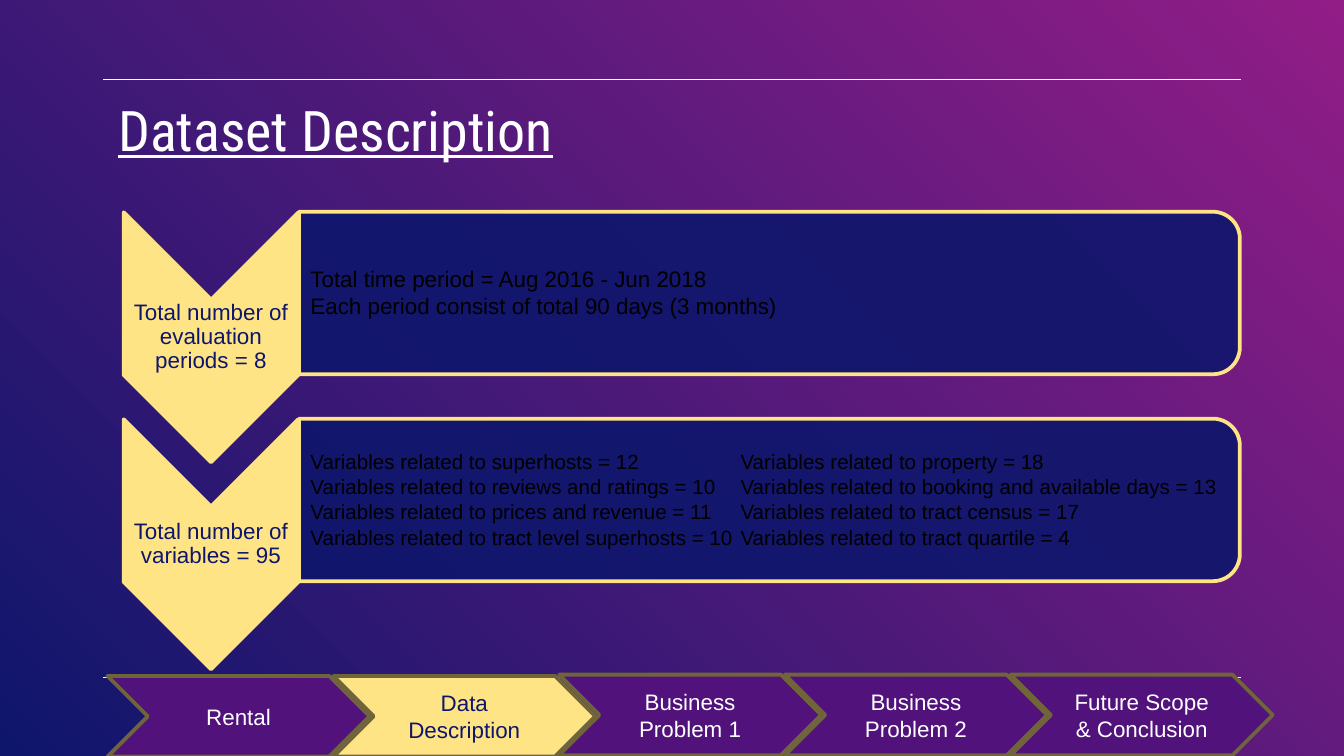
from lxml import etree
from pptx import Presentation
from pptx.dml.color import RGBColor
from pptx.enum import shapes, text
from pptx.oxml.ns import qn
from pptx.util import Inches, Pt

NAVY, YELLOW, PURPLE = "0E166C", "FFE485", "51127C"
WHITE, BLACK, OLIVE, MAGENTA = "FFFFFF", "000000", "70643A", "921D87"

LABEL = {"alignment": text.PP_ALIGN.CENTER, "line_spacing": 0.9}
DETAIL = {"alignment": text.PP_ALIGN.LEFT, "line_spacing": 0.9}
CENTERED = {"alignment": text.PP_ALIGN.CENTER}
TIGHT = [0.01] * 4
COLUMN_TAB = 3.2

SECTIONS = [
    ("Total number of evaluation periods = 8", 12, [
        "Total time period = Aug 2016 - Jun 2018",
        "Each period consist of total 90 days (3 months)",
    ]),
    ("Total number of variables = 95", 11, [
        "Variables related to superhosts = 12\tVariables related to property = 18",
        "Variables related to reviews and ratings = 10\t"
        "Variables related to booking and available days = 13",
        "Variables related to prices and revenue = 11\tVariables related to tract census = 17",
        "Variables related to tract level superhosts = 10\t"
        "Variables related to tract quartile = 4",
    ]),
]
STEPS = ["Rental", "Data Description", "Business Problem 1", "Business Problem 2",
         "Future Scope & Conclusion"]
CURRENT_STEP = 1


def color(value):
    return RGBColor.from_string(value)


def apply(target, values):
    for name, value in values.items():
        setattr(target, name, value)


def set_frame(frame, insets, anchor):
    left, top, right, bottom = map(Inches, insets)
    apply(frame, {"word_wrap": True, "auto_size": text.MSO_AUTO_SIZE.NONE,
                  "vertical_anchor": anchor, "margin_left": left, "margin_top": top,
                  "margin_right": right, "margin_bottom": bottom})


def write(frame, lines, size, font_color, layout, font="Arial", underline=None):
    for index, line in enumerate(lines):
        paragraph = frame.paragraphs[0] if index == 0 else frame.add_paragraph()
        apply(paragraph, layout)
        if "\t" in line:
            tabs = etree.SubElement(paragraph._p.get_or_add_pPr(), qn("a:tabLst"))
            etree.SubElement(tabs, qn("a:tab"), pos=str(Inches(COLUMN_TAB)), algn="l")
        run = paragraph.add_run()
        run.text = line
        apply(run.font, {"name": font, "size": Pt(size), "underline": underline})
        run.font.color.rgb = color(font_color)


def add_rule(slide, top):
    rule = slide.shapes.add_connector(shapes.MSO_CONNECTOR.STRAIGHT, Inches(0.77),
                                      Inches(top), Inches(9.23), Inches(top))
    rule.line.color.rgb = color(WHITE)
    rule.line.width = Pt(0.75)
    etree.SubElement(rule._element.spPr, qn("a:effectLst"))


def add_block(slide, kind, box, fill, line, rotation=0, opacity=None):
    shape = slide.shapes.add_shape(kind, *map(Inches, box))
    shape.shadow.inherit = False
    shape.rotation = rotation
    shape.fill.solid()
    shape.fill.fore_color.rgb = color(fill)
    shape.line.color.rgb = color(line)
    shape.line.width = Pt(2)
    if opacity:
        fill_color = shape._element.spPr.find(qn("a:solidFill"))[0]
        etree.SubElement(fill_color, qn("a:alpha"), val=str(opacity * 1000))
    return shape


def add_text(slide, box, lines, size, font_color, layout, insets):
    frame = slide.shapes.add_textbox(*map(Inches, box)).text_frame
    set_frame(frame, insets, text.MSO_ANCHOR.MIDDLE)
    write(frame, lines, size, font_color, layout)


def add_title(slide, title):
    shape = slide.shapes.title
    apply(shape, {"left": Inches(0.78), "top": Inches(0.61),
                  "width": Inches(8.44), "height": Inches(0.66)})
    set_frame(shape.text_frame, [0.1] * 4, text.MSO_ANCHOR.TOP)
    write(shape.text_frame, [title], 30, WHITE, {"alignment": text.PP_ALIGN.LEFT},
          "Roboto Condensed", True)


def add_section(slide, top, label, size, details):
    # Both shapes are turned a quarter, so their boxes are given unrotated
    add_block(slide, shapes.MSO_SHAPE.CHEVRON, (0.64, top + 0.28, 1.86, 1.3),
              YELLOW, YELLOW, 90)
    add_text(slide, (0.92, top + 0.65, 1.3, 0.56), [label], 12, NAVY, LABEL, TIGHT)
    add_block(slide, shapes.MSO_SHAPE.ROUND_2_SAME_RECTANGLE, (5.12, top - 2.9, 1.21, 7),
              NAVY, YELLOW, 90, opacity=90)
    add_text(slide, (2.22, top + 0.06, 6.94, 1.09), details, size, BLACK,
             {**DETAIL, "space_after": Pt(0.15 * size)}, [0.09, 0.01, 0.01, 0.01])


def add_step(slide, index):
    current = index == CURRENT_STEP
    top = 5.03 if index <= CURRENT_STEP else 5.02
    shape = add_block(slide, shapes.MSO_SHAPE.CHEVRON, (0.8 + 1.68 * index, top, 1.95, 0.6),
                      YELLOW if current else PURPLE, OLIVE)
    set_frame(shape.text_frame, [0.1, 0.05, 0.1, 0.05], text.MSO_ANCHOR.MIDDLE)
    write(shape.text_frame, [STEPS[index]], 12, NAVY if current else WHITE, CENTERED)


def set_background(slide):
    fill = slide.background.fill
    fill.gradient()
    fill.gradient_angle = 225
    for stop, position, value in zip(fill.gradient_stops, (0, 1), (MAGENTA, NAVY)):
        stop.position = position
        stop.color.rgb = color(value)


def main():
    # Widescreen page, 16 to 9
    presentation = Presentation()
    apply(presentation, {"slide_width": Inches(10), "slide_height": Inches(10 * 9 / 16)})
    slide = presentation.slides.add_slide(presentation.slide_layouts[5])
    set_background(slide)

    # Heading between the rules
    add_rule(slide, 0.59)
    add_rule(slide, 5.04)
    add_title(slide, "Dataset Description")

    # Chevron list
    for index, section in enumerate(SECTIONS):
        add_section(slide, 1.58 + 1.54 * index, *section)

    # Progress bar, each step lying over the next
    for index in reversed(range(len(STEPS))):
        add_step(slide, index)

    presentation.save("out.pptx")


if __name__ == "__main__":
    main()
